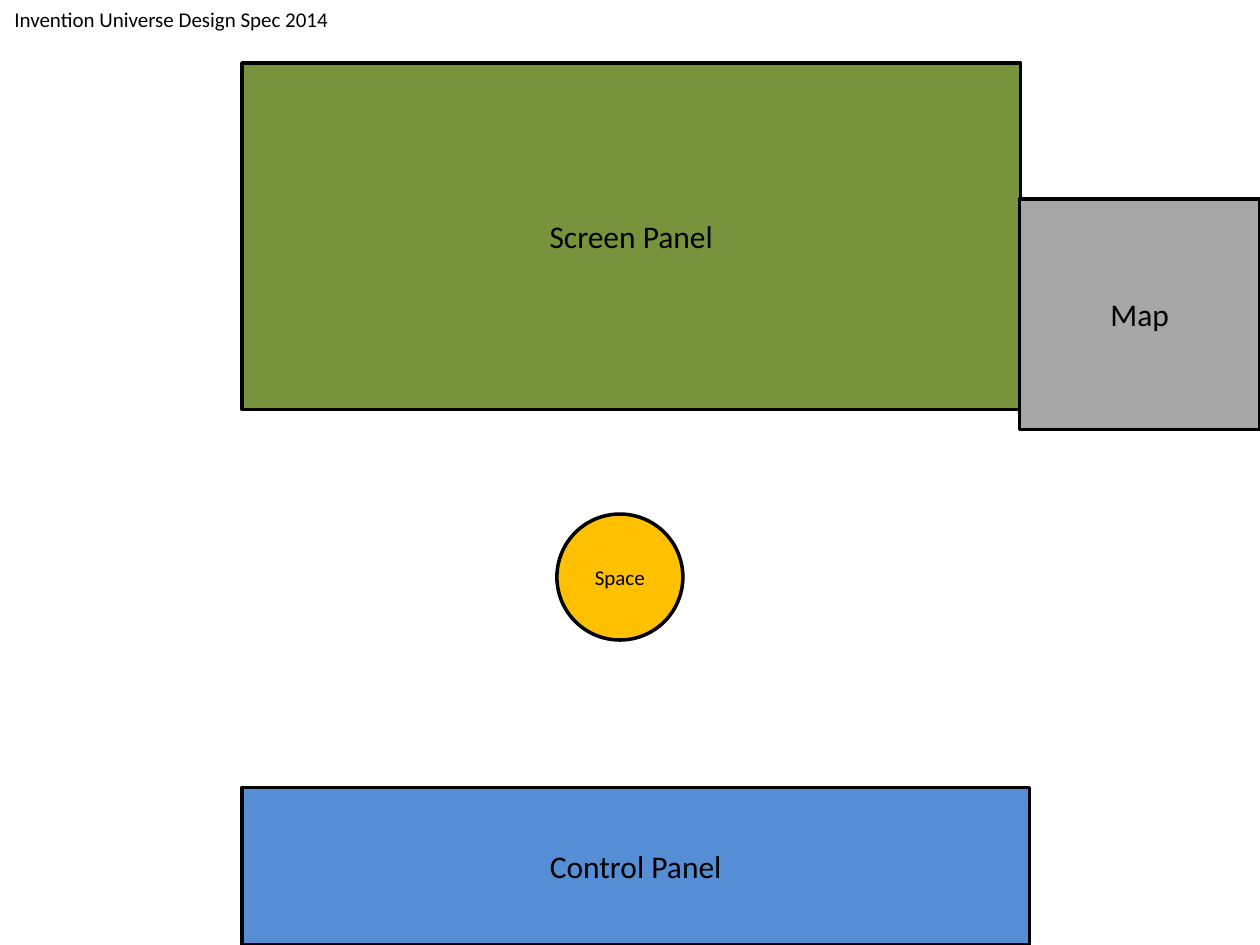
from dataclasses import dataclass

from pptx import Presentation
from pptx import util as u
from pptx.dml.color import RGBColor
from pptx.enum import shapes, text

BLACK = RGBColor(0x00, 0x00, 0x00)
BLUE = RGBColor(0x55, 0x8E, 0xD5)
GREEN = RGBColor(0x77, 0x93, 0x3C)
GRAY = RGBColor(0xA6, 0xA6, 0xA6)
AMBER = RGBColor(0xFF, 0xC0, 0x00)
RECTANGLE = shapes.MSO_SHAPE.RECTANGLE
OVAL = shapes.MSO_SHAPE.OVAL


@dataclass(frozen=True)
class Region:
    label: str
    left: float
    top: float
    width: float
    height: float
    fill: RGBColor
    size: int = 18
    outline: shapes.MSO_SHAPE = RECTANGLE


REGIONS = [
    Region("Control Panel", 1.92, 6.25, 6.25, 1.25, BLUE),
    Region("Screen Panel", 1.92, 0.5, 6.18, 2.75, GREEN),
    Region("Map", 8.09, 1.58, 1.91, 1.83, GRAY),
    Region("Space", 4.42, 4.08, 1, 1, AMBER, 12, OVAL),
]


def write_label(box, label: str, size: int, frame_format: dict) -> None:
    frame = box.text_frame
    for name, value in frame_format.items():
        setattr(frame, name, value)
    para = frame.paragraphs[0]
    para.alignment = text.PP_ALIGN.CENTER
    span = para.add_run()
    span.text = label
    for name, value in {"name": "Calibri", "size": u.Pt(size)}.items():
        setattr(span.font, name, value)
    span.font.color.rgb = BLACK


def draw_title(page, label: str) -> None:
    box = page.shapes.add_textbox(
        u.Inches(0.01), u.Inches(0), u.Inches(2.7), u.Inches(0.3)
    )
    write_label(box, label, 12, {
        "word_wrap": False,
        "auto_size": text.MSO_AUTO_SIZE.SHAPE_TO_FIT_TEXT,
    })


def draw_region(page, region: Region) -> None:
    box = page.shapes.add_shape(
        region.outline,
        u.Inches(region.left), u.Inches(region.top),
        u.Inches(region.width), u.Inches(region.height),
    )
    box.shadow.inherit = False
    box.fill.solid()
    box.fill.fore_color.rgb = region.fill
    box.line.color.rgb = BLACK
    box.line.width = u.Pt(2)
    write_label(box, region.label, region.size, {
        "word_wrap": True,
        "vertical_anchor": text.MSO_ANCHOR.MIDDLE,
    })


def main() -> None:
    deck = Presentation()
    deck.slide_width = u.Inches(10)
    deck.slide_height = u.Inches(7.5)
    page = deck.slides.add_slide(deck.slide_layouts[6])
    draw_title(page, "Invention Universe Design Spec 2014")
    for region in REGIONS:
        draw_region(page, region)
    deck.save("out.pptx")


if __name__ == "__main__":
    main()
